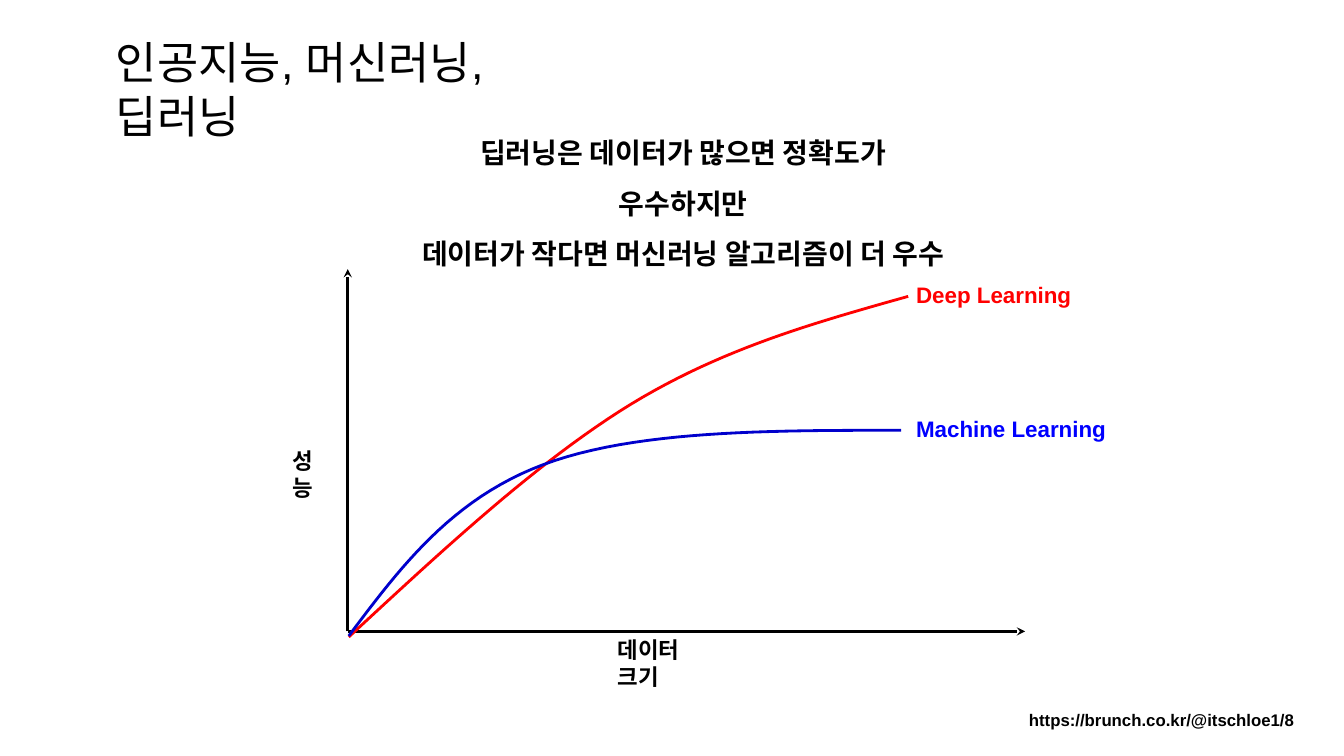
from lxml import etree
from pptx import Presentation, util as u
from pptx.dml.color import RGBColor
from pptx.enum import shapes, text
from pptx.oxml.ns import qn

FONT = "Arial"
BLACK, RED, BLUE, DARK_BLUE = "000000", "FF0000", "0000FF", "0000CC"
CURVE_STEPS = 24
LEFT, CENTER, RIGHT = text.PP_ALIGN.LEFT, text.PP_ALIGN.CENTER, text.PP_ALIGN.RIGHT

ORIGIN = (248.4, 451)
DEEP_CURVE = [
    [(249.1, 455), (316.8, 392.4), (383.8, 329.8), (450.7, 288.7)],
    [(450.7, 288.7), (517, 248.4), (582.5, 230.4), (648.7, 211.7)],
]
MACHINE_CURVE = [
    [(249.1, 454.3), (285.8, 405.4), (322.6, 356.4), (388.1, 331.9)],
    [(388.1, 331.9), (453.6, 307.4), (548.6, 307.4), (643.7, 307.4)],
]


def color(value):
    return RGBColor.from_string(value)


def style_line(line, value):
    line.color.rgb = color(value)
    line.width = u.Pt(2)


def write(box, lines, size, value=BLACK, bold=True, align=LEFT, spacing=None):
    frame = box.text_frame
    frame.word_wrap = True
    frame.auto_size = text.MSO_AUTO_SIZE.SHAPE_TO_FIT_TEXT
    frame.vertical_anchor = text.MSO_ANCHOR.TOP
    for index, line in enumerate(lines):
        para = frame.add_paragraph() if index else frame.paragraphs[0]
        para.alignment = align
        if spacing:
            para.line_spacing = spacing
        span = para.add_run()
        span.text = line
        span.font.name = FONT
        span.font.size = u.Pt(size)
        span.font.bold = bold
        span.font.color.rgb = color(value)


def add_title(page, left, top, width, height, words):
    title = page.shapes.title
    title.left, title.top = u.Pt(left), u.Pt(top)
    title.width, title.height = u.Pt(width), u.Pt(height)
    write(title, [words], 32, bold=False)


def add_label(page, left, top, width, height, lines, size=16, **style):
    box = page.shapes.add_textbox(u.Pt(left), u.Pt(top), u.Pt(width), u.Pt(height))
    write(box, lines, size, **style)


def add_axis(page, end):
    points = [u.Pt(value) for value in ORIGIN + end]
    axis = page.shapes.add_connector(shapes.MSO_CONNECTOR.STRAIGHT, *points)
    style_line(axis.line, BLACK)
    etree.SubElement(axis.line._get_or_add_ln(), qn("a:tailEnd"), type="stealth")
    etree.SubElement(axis._element.spPr, qn("a:effectLst"))


def bezier_point(segment, t):
    weights = ((1 - t) ** 3, 3 * t * (1 - t) ** 2, 3 * t**2 * (1 - t), t**3)
    return tuple(
        u.Pt(sum(weight * value for weight, value in zip(weights, values)))
        for values in zip(*segment)
    )


def add_curve(page, segments, value):
    start = bezier_point(segments[0], 0)
    points = [
        bezier_point(segment, step / CURVE_STEPS)
        for segment in segments
        for step in range(1, CURVE_STEPS + 1)
    ]
    builder = page.shapes.build_freeform(*start)
    builder.add_line_segments(points, close=False)
    curve = builder.convert_to_shape()
    curve.shadow.inherit = False
    curve.fill.background()
    style_line(curve.line, value)


def main():
    deck = Presentation()
    deck.slide_width, deck.slide_height = u.Pt(960), u.Pt(540)
    page = deck.slides.add_slide(deck.slide_layouts[5])

    add_title(page, 75.6, 21, 354, 46, "인공지능, 머신러닝, 딥러닝")

    add_axis(page, (ORIGIN[0], 192.2))
    add_axis(page, (732.2, ORIGIN[1]))
    add_label(page, 434.2, 450.7, 88.6, 26.6, ["데이터 크기"])
    add_label(page, 201.6, 316, 41.8, 26.6, ["성능"])

    add_curve(page, DEEP_CURVE, RED)
    add_label(page, 647.3, 197.3, 126, 26.6, ["Deep Learning"], value=RED)

    message = ["딥러닝은 데이터가 많으면 정확도가 우수하지만",
               "데이터가 작다면 머신러닝 알고리즘이 더 우수"]
    add_label(page, 291.6, 81.4, 393, 77, message, 20, align=CENTER, spacing=1.5)

    add_label(page, 647.3, 293, 152, 26.6, ["Machine Learning"], value=BLUE)
    add_curve(page, MACHINE_CURVE, DARK_BLUE)

    add_label(page, 301.7, 503.3, 630, 21.6,
              ["https://brunch.co.kr/@itschloe1/8"], 12, align=RIGHT)

    deck.save("out.pptx")


if __name__ == "__main__":
    main()
